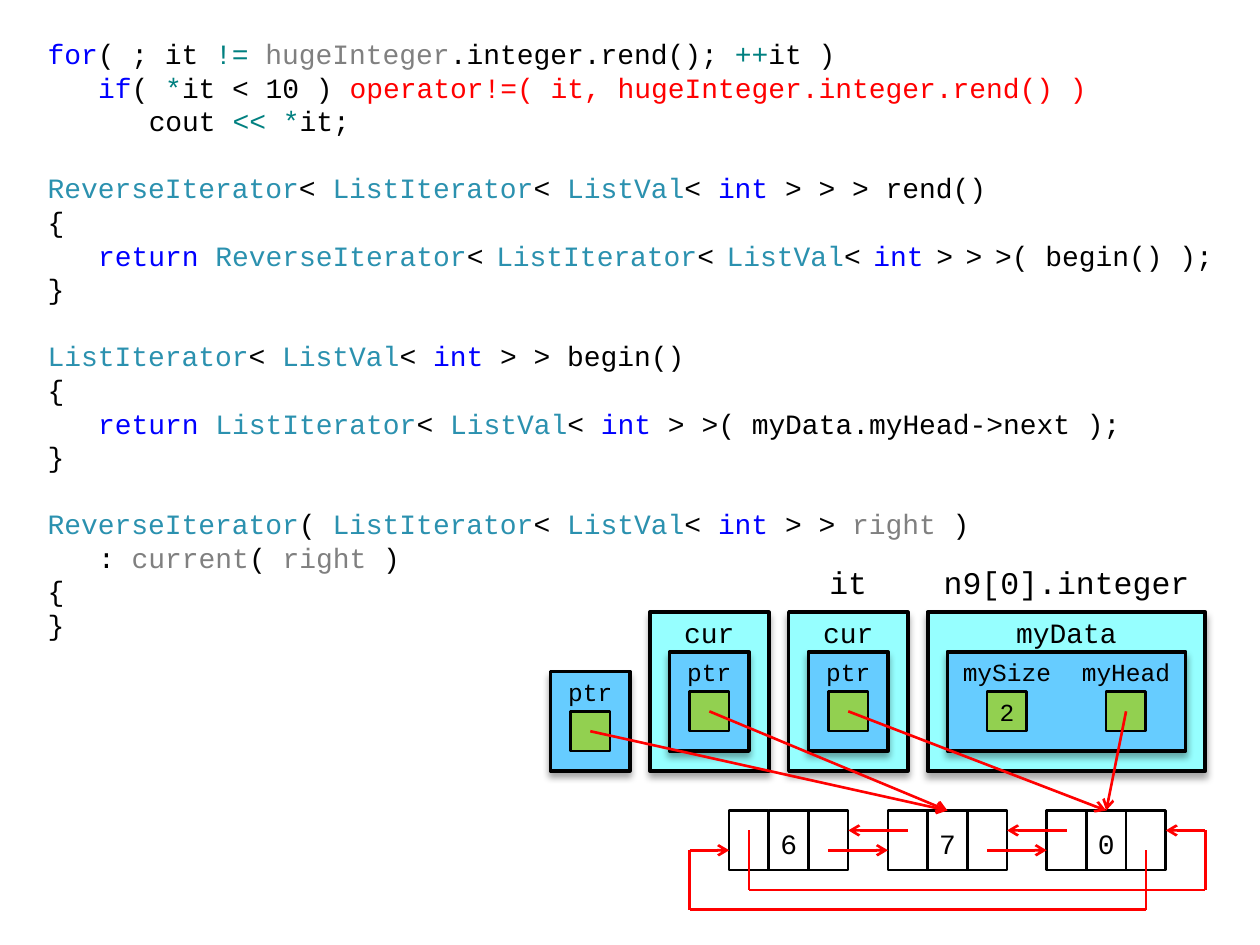
from dataclasses import dataclass
from itertools import pairwise

from lxml import etree
from pptx import Presentation
from pptx.dml.color import RGBColor
from pptx.enum.shapes import MSO_CONNECTOR, MSO_SHAPE
from pptx.enum.text import MSO_ANCHOR, PP_ALIGN
from pptx.oxml.ns import qn
from pptx.util import Emu, Inches, Pt

RECTANGLE = MSO_SHAPE.RECTANGLE
PROCESS = MSO_SHAPE.FLOWCHART_PROCESS
STRAIGHT = MSO_CONNECTOR.STRAIGHT
MIDDLE = MSO_ANCHOR.MIDDLE
CENTER = PP_ALIGN.CENTER

EMU_PER_PX = 7200  # 127 px to the inch
CELL = 40
TOP_SIDE = 0


@dataclass(frozen=True)
class Theme:
    font: str = "Courier New"
    black: str = "000000"
    keyword: str = "0000FF"
    type_name: str = "2B91AF"
    operator: str = "008080"
    variable: str = "808080"
    red: str = "FF0000"
    outer: str = "96FFFF"
    inner: str = "66CCFF"
    field: str = "92D050"
    code: float = 16
    narrow_space: float = 12
    title: float = 18
    member: float = 16
    small: float = 14
    thin: float = 1.5
    thick: float = 2


THEME = Theme()


@dataclass(frozen=True)
class CodeLine:
    pieces: str  # coloured pieces are set apart by |
    indent: int = 0  # in steps of three characters
    gap: bool = False  # one free line above


@dataclass(frozen=True)
class Box:
    left: int
    top: int
    width: int
    height: int


@dataclass(frozen=True)
class Label:
    text: str
    box: Box
    size: float


CALL = "operator!=( it, hugeInteger.integer.rend() )"
COLOUR_GROUPS = {
    THEME.keyword: ("for", "if", "return", "int"),
    THEME.type_name: ("ReverseIterator", "ListIterator", "ListVal"),
    THEME.operator: ("!=", "++", "*", "<< *"),
    THEME.variable: ("hugeInteger", "right", "current"),
    THEME.red: (CALL,),
}
PIECE_COLOURS = {word: colour for colour, words in COLOUR_GROUPS.items() for word in words}

CODE = [
    CodeLine("for|( ; it |!= |hugeInteger|.integer.rend(); |++|it )"),
    CodeLine(f"if|( |*|it < 10 ) |{CALL}", 1),
    CodeLine("cout |<< *|it;", 2),
    CodeLine("ReverseIterator|< |ListIterator|< |ListVal|< |int| > > > rend()", gap=True),
    CodeLine("{"),
    CodeLine("return |ReverseIterator|<| |ListIterator|<| |ListVal|<| |int| |>| |>| |>( begin() );", 1),
    CodeLine("}"),
    CodeLine("ListIterator|< |ListVal|< |int| > > begin()", gap=True),
    CodeLine("{"),
    CodeLine("return |ListIterator|< |ListVal|< |int| > >( myData.myHead->next );", 1),
    CodeLine("}"),
    CodeLine("ReverseIterator|( |ListIterator|< |ListVal|< |int| > > |right| )", gap=True),
    CodeLine(": |current|( |right| )", 1),
    CodeLine("{"),
    CodeLine("}"),
]


def px(value: int) -> Emu:
    return Emu(value * EMU_PER_PX)


def frame(box: Box) -> tuple:
    return px(box.left), px(box.top), px(box.width), px(box.height)


def set_insets(text_frame, left: int = 0, top: int = 0) -> None:
    text_frame.margin_left, text_frame.margin_top = px(left), px(top)
    text_frame.margin_right = text_frame.margin_bottom = px(0)


def write_centred(text_frame, text: str, size: float, top: int = 0) -> None:
    set_insets(text_frame, top=top)
    text_frame.word_wrap = True
    text_frame.vertical_anchor = MIDDLE
    paragraph = text_frame.paragraphs[0]
    paragraph.text = text
    paragraph.alignment = CENTER
    paragraph.font.name = THEME.font
    paragraph.font.size = Pt(size)
    paragraph.font.color.rgb = RGBColor.from_string(THEME.black)


def draw_code(slide, box: Box, lines: list[CodeLine]) -> None:
    text_frame = slide.shapes.add_textbox(*frame(box)).text_frame
    text_frame.word_wrap = True
    set_insets(text_frame, left=13)
    pitch = Pt(THEME.code * 1.2)
    for index, line in enumerate(lines):
        paragraph = text_frame.paragraphs[0] if index == 0 else text_frame.add_paragraph()
        paragraph.line_spacing = pitch
        paragraph.space_before = pitch if line.gap else Pt(0)
        paragraph.font.name = THEME.font
        properties = paragraph._p.get_or_add_pPr()
        properties.set("marL", str(px(51 * line.indent)))
        properties.set("indent", "0")
        for piece in line.pieces.split("|"):
            run = paragraph.add_run()
            run.text = piece
            run.font.name = THEME.font
            run.font.size = Pt(THEME.narrow_space if piece == " " else THEME.code)
            colour = PIECE_COLOURS.get(piece.strip(), THEME.black)
            run.font.color.rgb = RGBColor.from_string(colour)


def draw_label(slide, label: Label) -> None:
    text_box = slide.shapes.add_textbox(*frame(label.box))
    write_centred(text_box.text_frame, label.text, label.size)


def draw_cell(slide, box: Box, fill: str | None = None, text: str = "", size: float = THEME.code, top: int = 0):
    shape = slide.shapes.add_shape(RECTANGLE, *frame(box))
    shape.shadow.inherit = False
    if fill:
        shape.fill.solid()
        shape.fill.fore_color.rgb = RGBColor.from_string(fill)
    else:
        shape.fill.background()
    shape.line.color.rgb = RGBColor.from_string(THEME.black)
    shape.line.width = Pt(THEME.thin)
    if text:
        write_centred(shape.text_frame, text, size, top)
    return shape


def draw_panel(slide, box: Box, fill: str, width: float = THEME.thick) -> None:
    shape = slide.shapes.add_shape(PROCESS, *frame(box))
    shape.fill.solid()
    shape.fill.fore_color.rgb = RGBColor.from_string(fill)
    shape.line.color.rgb = RGBColor.from_string(THEME.black)
    shape.line.width = Pt(width)
    shape.shadow.inherit = False
    effects = shape._element.spPr.find(qn("a:effectLst"))
    shadow = etree.SubElement(effects, qn("a:outerShdw"), blurRad=str(Pt(4)), dist=str(Pt(3)),
                              dir="5400000", rotWithShape="0")
    colour = etree.SubElement(shadow, qn("a:srgbClr"), val=THEME.black)
    etree.SubElement(colour, qn("a:alpha"), val="35000")


def draw_line(slide, start: tuple[int, int], end: tuple[int, int], arrow: bool = True):
    connector = slide.shapes.add_connector(STRAIGHT, *map(px, start + end))
    connector.line.color.rgb = RGBColor.from_string(THEME.red)
    connector.line.width = Pt(THEME.thin)
    if arrow:
        etree.SubElement(connector.line._get_or_add_ln(), qn("a:tailEnd"), type="arrow")
    etree.SubElement(connector._element.spPr, qn("a:effectLst"))
    return connector


def draw_route(slide, points: list[tuple[int, int]]) -> None:
    for start, end in pairwise(points):
        draw_line(slide, start, end, arrow=end == points[-1])


def draw_pointer_box(slide, left: int, top: int) -> tuple[int, int]:
    """Draw a ptr box and return the centre of its field."""
    draw_panel(slide, Box(left, top, 80, 100), THEME.inner)
    draw_label(slide, Label("ptr", Box(left, top, 80, CELL), THEME.small))
    draw_cell(slide, Box(left + 20, top + CELL, CELL, CELL), THEME.field)
    return left + 40, top + 60


def draw_iterator(slide, left: int, top: int) -> tuple[int, int]:
    draw_panel(slide, Box(left, top, 120, 160), THEME.outer)
    draw_label(slide, Label("cur", Box(left + 20, top, 80, CELL), THEME.member))
    return draw_pointer_box(slide, left + 20, top + CELL)


def main() -> None:
    presentation = Presentation()
    presentation.slide_width, presentation.slide_height = Inches(10), Inches(7.5)
    slide = presentation.slides.add_slide(presentation.slide_layouts[6])
    draw_code(slide, Box(35, 37, 1200, 620), CODE)

    # Linked list: each node has prev, value and next cells
    node_top, back, forward = 817, 837, 857
    lefts = [735, 895, 1055]
    middles = []
    for left, value in zip(lefts, "670"):
        cells = [draw_cell(slide, Box(left + CELL * column, node_top, CELL, 60), text=text, top=6)
                 for column, text in enumerate(("", value, ""))]
        middles.append(cells[1])
    for left, following in pairwise(lefts):
        draw_line(slide, (following + 20, back), (left + 120, back))
        draw_line(slide, (left + 100, forward), (following, forward))
    draw_route(slide, [(1155, forward), (1155, 917), (695, 917), (695, forward), (735, forward)])
    draw_route(slide, [(755, back), (755, 897), (1215, 897), (1215, back), (1175, back)])

    # Container with its size and head
    draw_panel(slide, Box(935, 617, 280, 160), THEME.outer, 2.25)
    draw_panel(slide, Box(955, 657, 240, 100), THEME.inner)
    draw_cell(slide, Box(995, 697, CELL, CELL), THEME.field, "2", THEME.small)
    draw_cell(slide, Box(1115, 697, CELL, CELL), THEME.field)
    for label in (
        Label("it", Box(815, 557, 80, 60), THEME.title),
        Label("n9[0].integer", Box(935, 557, 280, 60), THEME.title),
        Label("myData", Box(995, 617, 160, CELL), THEME.member),
        Label("mySize", Box(955, 657, 120, CELL), THEME.small),
        Label("myHead", Box(1075, 657, 120, CELL), THEME.small),
    ):
        draw_label(slide, label)

    # Iterators and the pointers into the list
    _, seven, zero = middles
    pointers = [
        ((1135, 717), zero),
        (draw_iterator(slide, 795, 617), zero),
        (draw_iterator(slide, 655, 617), seven),
        (draw_pointer_box(slide, 555, 677), seven),
    ]
    for start, target in pointers:
        draw_line(slide, start, start).end_connect(target, TOP_SIDE)

    presentation.save("out.pptx")


if __name__ == "__main__":
    main()
